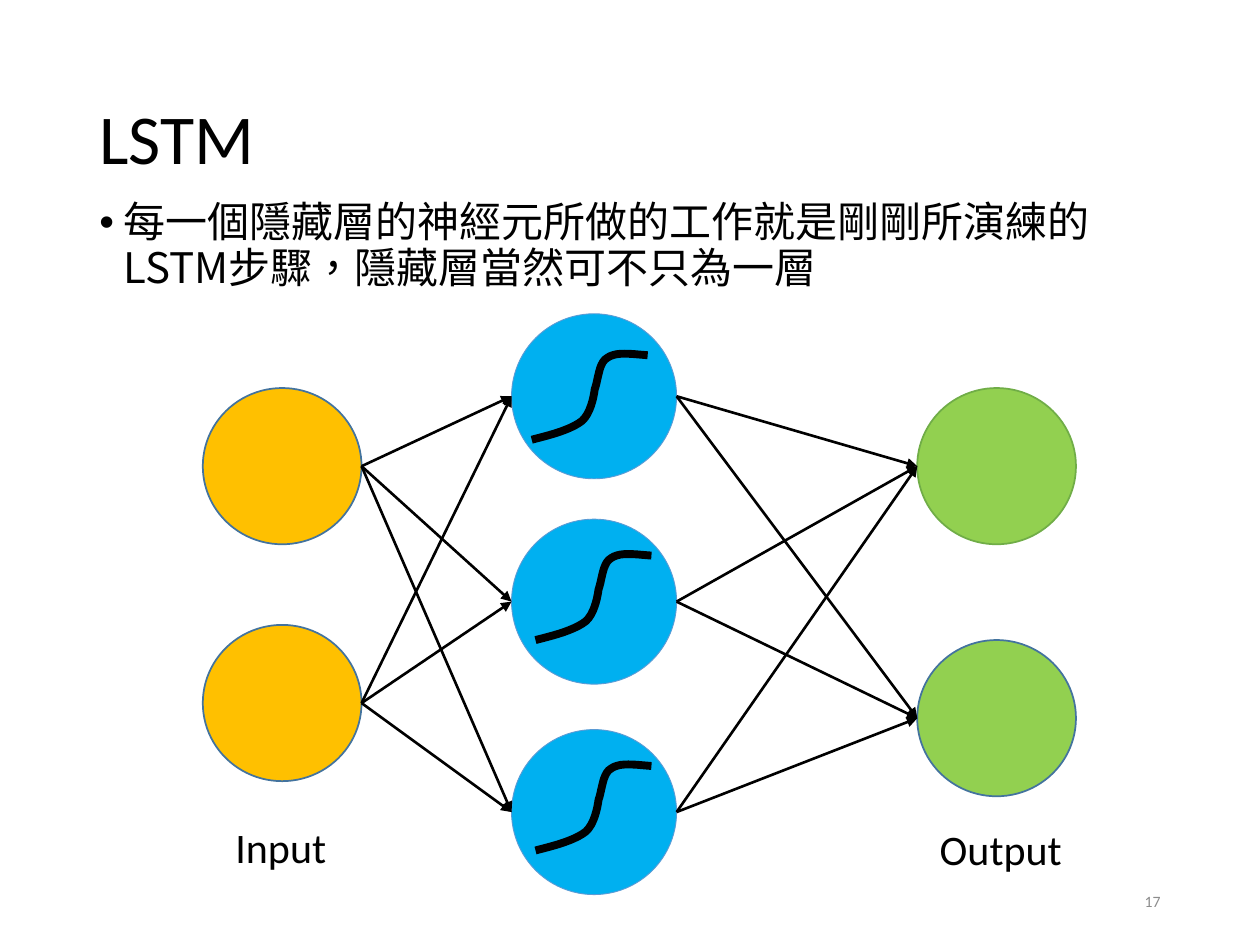
import lxml.etree
import pptx
import pptx.dml.color
import pptx.enum.dml
import pptx.enum.shapes
import pptx.enum.text
import pptx.oxml.ns
import pptx.util

BLACK = pptx.dml.color.RGBColor(0x00, 0x00, 0x00)
GREY = pptx.dml.color.RGBColor(0x8C, 0x8C, 0x8C)
BLUE = pptx.dml.color.RGBColor(0x00, 0xB0, 0xF0)
LIGHT_BLUE = pptx.dml.color.RGBColor(0x5B, 0x9B, 0xD5)
DARK_BLUE = pptx.dml.color.RGBColor(0x43, 0x73, 0x9E)
AMBER = pptx.dml.color.RGBColor(0xFF, 0xC0, 0x00)
LIME = pptx.dml.color.RGBColor(0x92, 0xD0, 0x50)
GREEN = pptx.dml.color.RGBColor(0x70, 0xAD, 0x47)

LATIN = "Calibri"
CHINESE = "Noto Sans CJK SC"
ALIGN = pptx.enum.text.PP_ALIGN
ANCHOR = pptx.enum.text.MSO_ANCHOR

# Columns and rows of the network, in inches
INPUT_LEFT, HIDDEN_LEFT, OUTPUT_LEFT = 1.61, 4.06, 7.28
INPUT_TOPS = (3.08, 4.96)
HIDDEN_TOPS = (2.49, 4.12, 5.79)
OUTPUT_TOPS = (3.08, 5.08)
OUTER_SIZE = (1.26, 1.24)
HIDDEN_SIZE = (1.31, 1.31)

# Offsets of each activation curve inside its hidden neuron
CURVE_OFFSETS = ((0.16, 0.32), (0.19, 0.28), (0.19, 0.28))
CURVE_START = (0, 0.68)
CURVE_BEZIERS = (
    ((0.16, 0.64), (0.31, 0.60), (0.40, 0.53)),
    ((0.48, 0.46), (0.50, 0.28), (0.50, 0.28)),
    ((0.53, 0.20), (0.53, 0.07), (0.60, 0.03)),
    ((0.67, -0.02), (0.79, 0.00), (0.92, 0.01)),
)
CURVE_STEPS = 10


def inches(*lengths):
    return [pptx.util.Inches(length) for length in lengths]


def add_xml(parent, tag, **attributes):
    return lxml.etree.SubElement(parent, pptx.oxml.ns.qn(tag), attributes)


def write_text(shape, text, size, font=LATIN, color=BLACK, align=ALIGN.LEFT, anchor=ANCHOR.TOP):
    frame = shape.text_frame
    frame.word_wrap = True
    frame.auto_size = pptx.enum.text.MSO_AUTO_SIZE.NONE
    frame.vertical_anchor = anchor
    frame.text = text
    paragraph = frame.paragraphs[0]
    paragraph.alignment = align
    paragraph.font.name = font
    paragraph.font.size = pptx.util.Pt(size)
    paragraph.font.color.rgb = color
    return paragraph


def add_text(slide, box, text, size, **style):
    shape = slide.shapes.add_textbox(*inches(*box))
    return write_text(shape, text, size, **style)


def add_title(slide, box, text):
    title = slide.shapes.title
    title.left, title.top, title.width, title.height = inches(*box)
    paragraph = write_text(title, text, 40, anchor=ANCHOR.MIDDLE)
    paragraph.line_spacing = 0.9


def add_bullet(slide, box, text):
    paragraph = add_text(slide, box, text, 24, font=CHINESE)
    paragraph.line_spacing = 0.9
    paragraph.space_before = pptx.util.Pt(7.5)
    # Bullet sign with hanging indent, and the East Asian font
    properties = paragraph._p.get_or_add_pPr()
    indent = pptx.util.Inches(0.19)
    properties.set("marL", str(indent))
    properties.set("indent", str(-indent))
    defaults = properties.find(pptx.oxml.ns.qn("a:defRPr"))
    add_xml(defaults, "a:ea", typeface=CHINESE)
    defaults.addprevious(add_xml(properties, "a:buFont", typeface="Arial"))
    defaults.addprevious(add_xml(properties, "a:buChar", char="•"))
    paragraph.runs[0]._r.get_or_add_rPr().set("lang", "zh-TW")


def add_neuron(slide, left, top, size, fill, outline, weight):
    oval = pptx.enum.shapes.MSO_SHAPE.OVAL
    neuron = slide.shapes.add_shape(oval, *inches(left, top, *size))
    neuron.shadow.inherit = False
    neuron.fill.solid()
    neuron.fill.fore_color.rgb = fill
    neuron.line.color.rgb = outline
    neuron.line.width = pptx.util.Pt(weight)
    return neuron


def bezier_points(start, first, second, end):
    for step in range(1, CURVE_STEPS + 1):
        t = step / CURVE_STEPS
        weights = ((1 - t) ** 3, 3 * t * (1 - t) ** 2, 3 * t * t * (1 - t), t ** 3)
        yield tuple(
            sum(weight * point[axis] for weight, point in zip(weights, (start, first, second, end)))
            for axis in (0, 1)
        )


def add_activation_curve(slide, left, top):
    points = [CURVE_START]
    for controls in CURVE_BEZIERS:
        points.extend(bezier_points(points[-1], *controls))
    places = [inches(left + x, top + y) for x, y in points]
    builder = slide.shapes.build_freeform(*places[0], scale=1.0)
    builder.add_line_segments(places[1:], close=False)
    curve = builder.convert_to_shape()
    curve.shadow.inherit = False
    curve.fill.background()
    curve.line.color.rgb = BLACK
    curve.line.width = pptx.util.Pt(4.5)


def add_arrow(slide, source, target):
    straight = pptx.enum.shapes.MSO_CONNECTOR.STRAIGHT
    arrow = slide.shapes.add_connector(
        straight,
        source.left + source.width, source.top + source.height // 2,
        target.left, target.top + target.height // 2,
    )
    arrow.line.color.rgb = BLACK
    arrow.line.width = pptx.util.Pt(1.5)
    add_xml(arrow.line._get_or_add_ln(), "a:tailEnd", type="triangle")
    add_xml(arrow._element.spPr, "a:effectLst")


def connect_layers(slide, sources, targets):
    for source in sources:
        for target in targets:
            add_arrow(slide, source, target)


def main():
    presentation = pptx.Presentation()
    presentation.slide_width, presentation.slide_height = inches(10, 7.5)
    slide = presentation.slides.add_slide(presentation.slide_layouts[5])

    # Heading and statement
    add_title(slide, (0.69, 0.4, 8.62, 1.45), "LSTM")
    add_bullet(slide, (0.69, 1.55, 8.62, 0.9),
               "每一個隱藏層的神經元所做的工作就是剛剛所演練的LSTM步驟，隱藏層當然可不只為一層")

    # Neurons of the three layers
    hidden = [add_neuron(slide, HIDDEN_LEFT, top, HIDDEN_SIZE, BLUE, LIGHT_BLUE, 0.5)
              for top in HIDDEN_TOPS]
    for top, (right, down) in zip(HIDDEN_TOPS, CURVE_OFFSETS):
        add_activation_curve(slide, HIDDEN_LEFT + right, top + down)
    inputs = [add_neuron(slide, INPUT_LEFT, top, OUTER_SIZE, AMBER, DARK_BLUE, 1)
              for top in INPUT_TOPS]
    outputs = [add_neuron(slide, OUTPUT_LEFT, top, OUTER_SIZE, LIME, outline, 1)
               for top, outline in zip(OUTPUT_TOPS, (GREEN, DARK_BLUE))]

    # Full connections between neighbouring layers
    connect_layers(slide, inputs, hidden)
    connect_layers(slide, hidden, outputs)

    # Layer labels and page number
    add_text(slide, (1.77, 6.47, 1.97, 0.5), "Input", 24)
    add_text(slide, (7.36, 6.49, 1.97, 0.5), "Output", 24)
    add_text(slide, (7.06, 6.95, 2.25, 0.4), "17", 9, color=GREY,
             align=ALIGN.RIGHT, anchor=ANCHOR.MIDDLE)

    presentation.save("out.pptx")


main()
